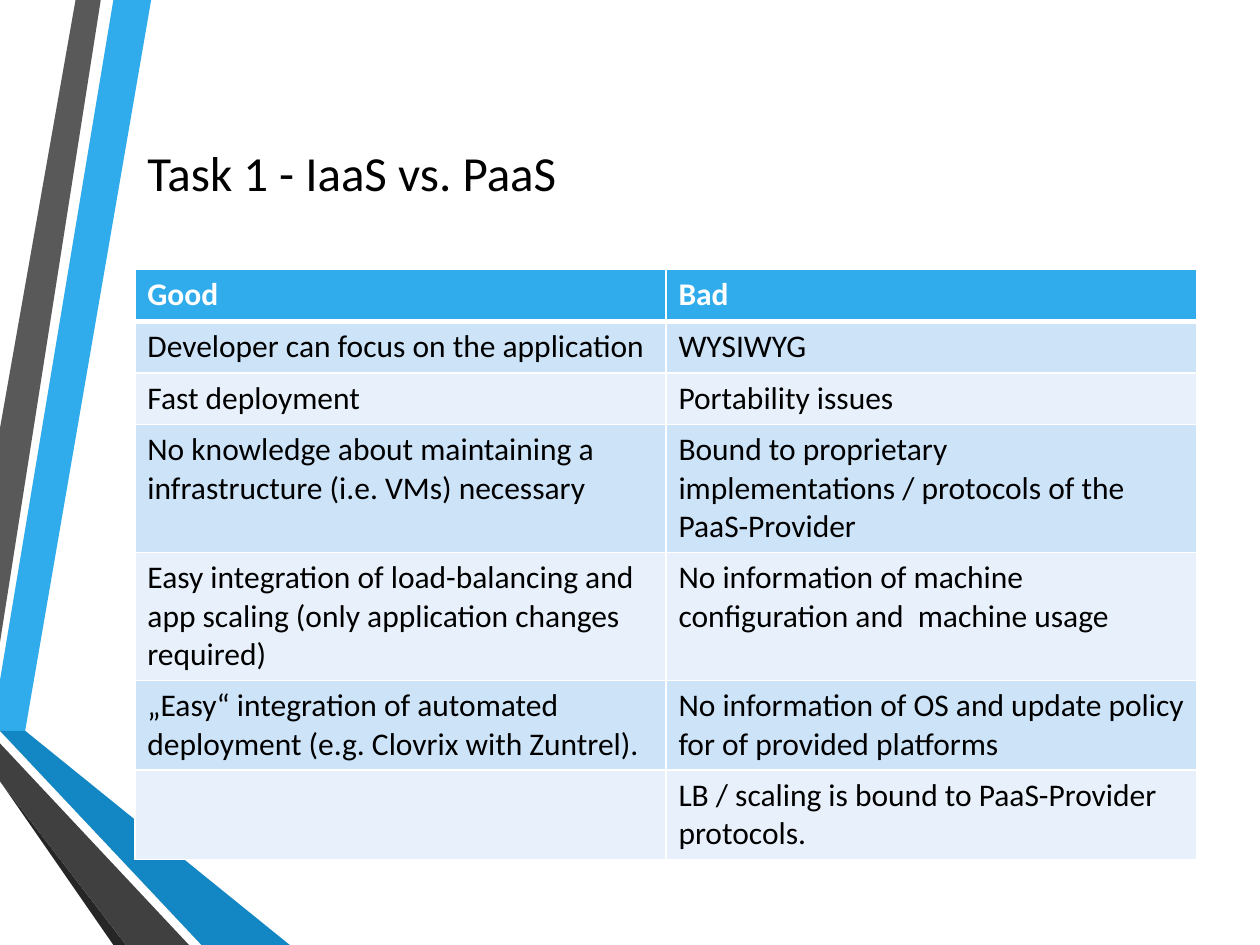
from dataclasses import dataclass

from lxml.etree import SubElement
from pptx import Presentation
from pptx.dml.color import RGBColor
from pptx.enum.text import MSO_ANCHOR, PP_ALIGN
from pptx.oxml.ns import qn
from pptx.util import Inches, Pt

COLUMNS, ROWS = 100, 75
UNIT = Inches(0.1)


@dataclass(frozen=True)
class Theme:
    """Colours, font and type sizes of the slide."""
    font: str = "Calibri"
    title_size: int = 28
    body_size: int = 18
    ink: str = "000000"
    paper: str = "FFFFFF"
    header: str = "30ACEC"
    stripes: tuple = ("CDE3F8", "E8F1FB")
    rule: int = 1
    header_rule: int = 3


THEME = Theme()

RIBBONS = [
    ("30ACEC", [(0, 54.4), (0, 57.5), (2.2, 57.9), (11.7, 0), (8.9, 0)]),
    ("595959", [(8.3, 0), (5.5, 0), (0, 33.6), (0, 50.6)]),
    ("262626", [(0, 61.9), (0, 62.1), (9.3, ROWS), (9.9, ROWS)]),
    ("0C5A82", [(0, 57.9), (0, 58), (15.6, ROWS), (16.3, ROWS)]),
    ("1287C3", [(0, 57.9), (16.3, ROWS), (23.3, ROWS), (2.2, 57.9), (0, 57.5)]),
    ("404040", [(0, 61.9), (9.9, ROWS), (15.1, ROWS), (0, 58.6)]),
]

COMPARISON = [
    ("Good", "Bad"),
    ("Developer can focus on the application", "WYSIWYG"),
    ("Fast deployment", "Portability issues"),
    ("No knowledge about maintaining a infrastructure (i.e. VMs) necessary",
     "Bound to proprietary implementations / protocols of the PaaS-Provider"),
    ("Easy integration of load-balancing and app scaling "
     "(only application changes required)",
     "No information of machine configuration and  machine usage"),
    ("„Easy“ integration of automated deployment (e.g. Clovrix with Zuntrel).",
     "No information of OS and update policy for of provided platforms"),
    ("", "LB / scaling is bound to PaaS-Provider protocols."),
]


def grid(*cells):
    """Turn grid cells into slide lengths."""
    return [round(cell * UNIT) for cell in cells]


def add_run(paragraph, wording, size, colour, bold=False):
    """Append one formatted run."""
    run = paragraph.add_run()
    run.text = wording
    run.font.name = THEME.font
    run.font.size = Pt(size)
    run.font.bold = bold
    run.font.color.rgb = RGBColor.from_string(colour)


def add_ribbon(slide, colour, corners):
    """Draw one folded ribbon piece as a filled outline."""
    start, *others = corners
    outline = slide.shapes.build_freeform(*start, scale=UNIT)
    outline.add_line_segments(others, close=True)
    ribbon = outline.convert_to_shape()
    ribbon.shadow.inherit = False
    ribbon.fill.solid()
    ribbon.fill.fore_color.rgb = RGBColor.from_string(colour)
    ribbon.line.fill.background()


def set_title(slide, wording):
    """Place and format the title placeholder."""
    title = slide.shapes.title
    title.left, title.top, title.width, title.height = grid(10.7, 5, 84.3, 21.7)
    frame = title.text_frame
    frame.word_wrap = True
    frame.vertical_anchor = MSO_ANCHOR.MIDDLE
    frame.margin_bottom = Inches(0.49)
    heading = frame.paragraphs[0]
    heading.alignment = PP_ALIGN.LEFT
    add_run(heading, wording, THEME.title_size, THEME.ink)


def add_border(properties, side, width):
    """Append one solid cell border."""
    border = SubElement(properties, qn(f"a:{side}"), w=str(Pt(width)))
    fill = SubElement(border, qn("a:solidFill"))
    SubElement(fill, qn("a:srgbClr"), val=THEME.paper)


def format_cell(cell, wording, row):
    """Fill one table cell with its text, borders and colour."""
    is_header = row == 0
    if wording:
        add_run(cell.text_frame.paragraphs[0], wording, THEME.body_size,
                THEME.paper if is_header else THEME.ink, is_header)
    properties = cell._tc.get_or_add_tcPr()
    for side in ("lnL", "lnR", "lnT", "lnB"):
        heavy = (row, side) in ((0, "lnB"), (1, "lnT"))
        add_border(properties, side, THEME.header_rule if heavy else THEME.rule)
    colour = THEME.header if is_header else THEME.stripes[(row - 1) % 2]
    cell.fill.solid()
    cell.fill.fore_color.rgb = RGBColor.from_string(colour)


def add_comparison(slide, entries):
    """Add the two-column comparison table."""
    place = grid(10.7, 21.4, 84.3, 4.1 * len(entries))
    table = slide.shapes.add_table(len(entries), len(entries[0]), *place).table
    for row, wordings in enumerate(entries):
        for column, wording in enumerate(wordings):
            format_cell(table.cell(row, column), wording, row)


def main():
    """Build and save the slide."""
    deck = Presentation()
    deck.slide_width, deck.slide_height = grid(COLUMNS, ROWS)
    slide = deck.slides.add_slide(deck.slide_layouts[5])
    for colour, corners in RIBBONS:
        add_ribbon(slide, colour, corners)
    set_title(slide, "Task 1 - IaaS vs. PaaS")
    add_comparison(slide, COMPARISON)
    deck.save("out.pptx")


if __name__ == "__main__":
    main()
